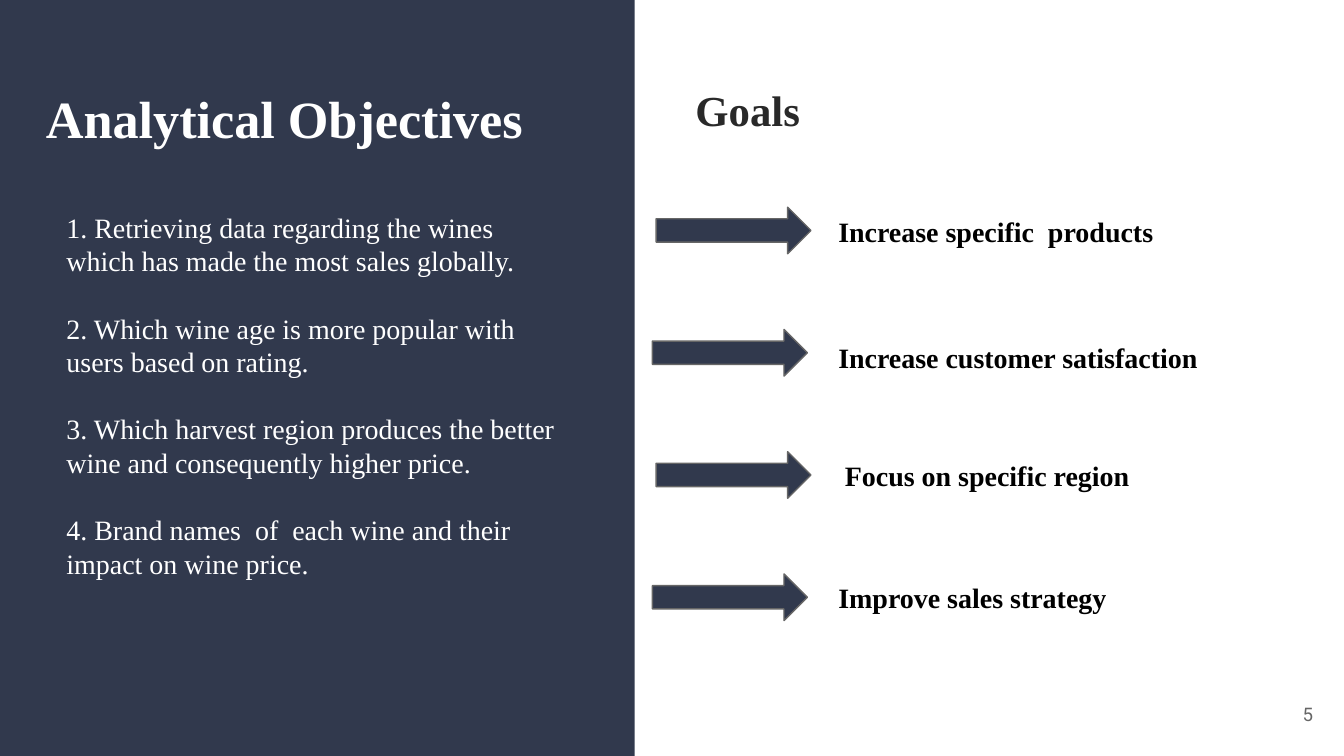
from pptx import Presentation
from pptx.dml.color import RGBColor as RGB
from pptx.enum.shapes import MSO_SHAPE as Shape
from pptx.enum.text import MSO_ANCHOR as Anchor, PP_ALIGN as Align
from pptx.util import Pt

PX = 6350
HUES = {"navy": "31394D", "white": "FFFFFF", "ink": "292929",
        "black": "000000", "gray": "666666"}
SERIF = "Times New Roman"


def add_form(kind, x, y, w, h):
    form = slide.shapes.add_shape(kind, x * PX, y * PX, w * PX, h * PX)
    form.shadow.inherit = False
    form.fill.solid()
    form.fill.fore_color.rgb = RGB.from_string(HUES["navy"])
    form.line.fill.background()
    return form


def put(text, box=None, frame=None, size=15, hue="black", bold=True, font=SERIF,
        align=Align.LEFT, anchor=Anchor.TOP, lead=None, before=None, indent=0):
    if frame is None:
        frame = slide.shapes.add_textbox(*[n * PX for n in box]).text_frame
        frame.word_wrap = True
        frame.vertical_anchor = anchor
        frame.margin_left = frame.margin_right = Pt(7.2)
        frame.margin_top = frame.margin_bottom = Pt(7.2)
        para = frame.paragraphs[0]
    else:
        para = frame.add_paragraph()
    para.alignment = align
    if indent:
        para._p.get_or_add_pPr().set("marL", str(indent * PX))
    if lead:
        para.line_spacing = lead
    if before:
        para.space_before = Pt(before)
    run = para.add_run()
    run.text = text
    run.font.name = font
    run.font.size = Pt(size)
    run.font.bold = bold
    run.font.color.rgb = RGB.from_string(HUES[hue])
    return frame


deck = Presentation()
deck.slide_width = 1440 * PX
deck.slide_height = 810 * PX
slide = deck.slides.add_slide(deck.slide_layouts[6])

add_form(Shape.RECTANGLE, 0, 0, 680, 810)

aims = [
    "1. Retrieving data regarding the wines which has made the most sales globally.",
    "2. Which wine age is more popular with users based on rating.",
    "3. Which harvest region produces the better wine and consequently higher price.",
    "4. Brand names  of  each wine and their impact on wine price.",
]
frame = put("Analytical Objectives", box=(35, 79, 585, 683), size=28,
            hue="white", lead=Pt(33))
for i, aim in enumerate(aims):
    put(aim, frame=frame, hue="white", bold=False, lead=Pt(18),
        before=18 if i else 33, indent=22)

put("Goals", box=(731, 79, 557, 108), size=22.9, hue="ink", lead=0.95)

goals = [
    ("Increase specific  products", 884, 215, 526),
    ("Increase customer satisfaction", 884, 350, 426),
    ("Focus on specific region", 891, 477, 445),
    ("Improve sales strategy", 884, 608, 467),
]
for i, (goal, x, y, w) in enumerate(goals):
    arrow = add_form(Shape.RIGHT_ARROW, 703 - i % 2 * 4, 222 + 131 * i, 166, 50)
    arrow.line.color.rgb = RGB.from_string(HUES["gray"])
    arrow.line.width = Pt(0.75)
    put(goal, box=(x, y, w, 65))

put("5", box=(1335, 734, 86, 62), size=10, hue="gray", bold=False,
    font="Roboto", align=Align.RIGHT, anchor=Anchor.MIDDLE)

deck.save("out.pptx")
